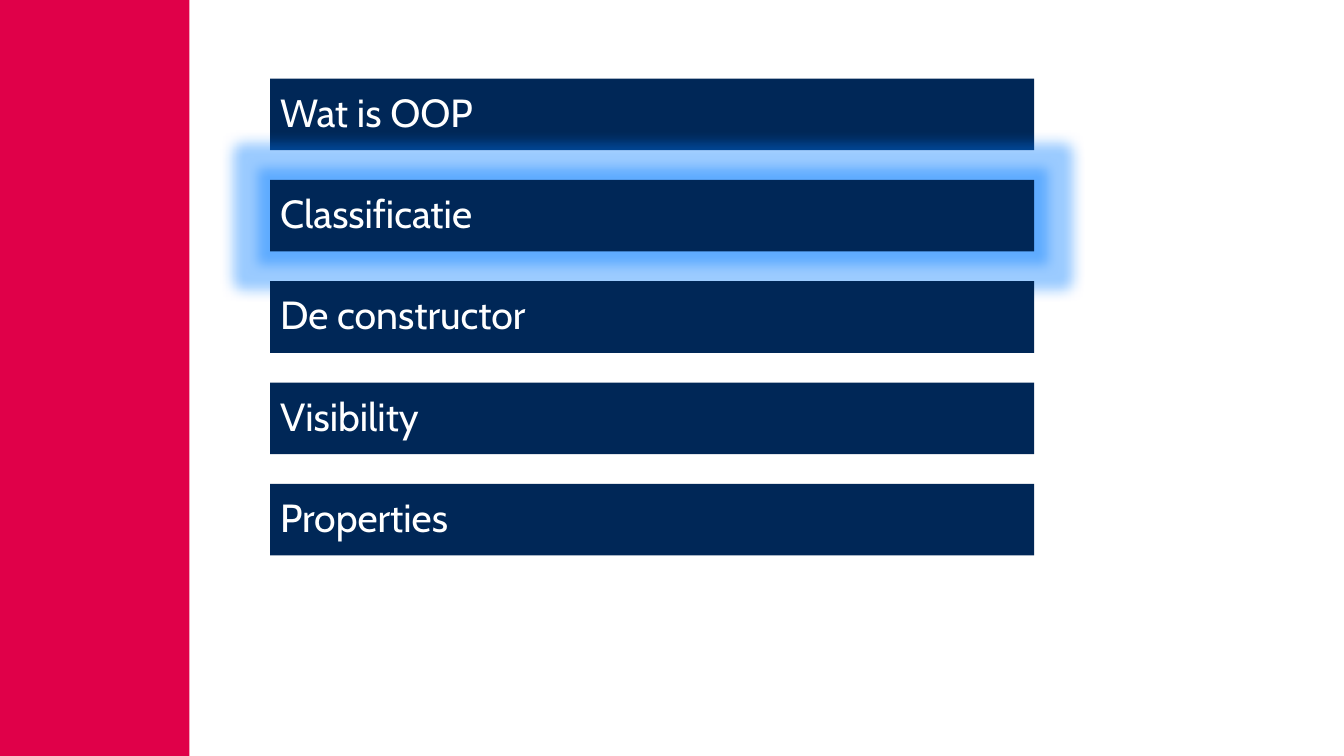
from lxml import etree
from pptx import Presentation
from pptx.dml.color import RGBColor
from pptx.enum.shapes import MSO_SHAPE
from pptx.enum.text import MSO_ANCHOR, PP_ALIGN
from pptx.oxml.ns import qn
from pptx.util import Inches, Pt

RECTANGLE = MSO_SHAPE.RECTANGLE
MIDDLE = MSO_ANCHOR.MIDDLE
LEFT = PP_ALIGN.LEFT

RED = RGBColor(0xE0, 0x00, 0x49)
NAVY = RGBColor(0x00, 0x27, 0x57)
WHITE = RGBColor(0xFF, 0xFF, 0xFF)
GLOW_BLUE = RGBColor(0x05, 0x7D, 0xFF)

COLUMNS, ROWS = 133.33, 75
TOPICS = ["Wat is OOP", "Classificatie", "De constructor", "Visibility", "Properties"]
CURRENT_TOPIC = "Classificatie"
TOPIC_LEFT, TOPIC_TOP = 26.8, 7.8
TOPIC_WIDTH, TOPIC_HEIGHT = 75.8, 7.1
TOPIC_PITCH = 10.05


class AgendaSlide:
    """Draws agenda elements on one slide, measured in grid columns and rows."""

    font_format = {"name": "Cabin", "size": Pt(28)}
    frame_format = {"vertical_anchor": MIDDLE, "word_wrap": False}
    paragraph_format = {"alignment": LEFT, "line_spacing": 0.9}

    def __init__(self, presentation):
        self.slide = presentation.slides.add_slide(presentation.slide_layouts[6])
        self.column = presentation.slide_width / COLUMNS
        self.row = presentation.slide_height / ROWS

    def apply(self, target, format_values):
        for name, value in format_values.items():
            setattr(target, name, value)

    def block(self, left, top, width, height, colour):
        shape = self.slide.shapes.add_shape(
            RECTANGLE,
            round(left * self.column),
            round(top * self.row),
            round(width * self.column),
            round(height * self.row),
        )
        shape.shadow.inherit = False
        shape.fill.solid()
        shape.fill.fore_color.rgb = colour
        shape.line.fill.background()
        return shape

    def topic(self, text, top):
        shape = self.block(TOPIC_LEFT, top, TOPIC_WIDTH, TOPIC_HEIGHT, NAVY)
        self.apply(shape.text_frame, self.frame_format)
        paragraph = shape.text_frame.paragraphs[0]
        self.apply(paragraph, self.paragraph_format)
        run = paragraph.add_run()
        run.text = text
        self.apply(run.font, self.font_format)
        run.font.color.rgb = WHITE
        return shape

    def glow(self, shape, radius, colour, opacity):
        effects = shape.element.spPr.find(qn("a:effectLst"))
        glow = etree.SubElement(effects, qn("a:glow"), rad=str(radius))
        tint = etree.SubElement(glow, qn("a:srgbClr"), val=str(colour))
        etree.SubElement(tint, qn("a:alpha"), val=str(opacity * 1000))


def main():
    presentation = Presentation()
    presentation.slide_width = Inches(13.33)
    presentation.slide_height = Inches(7.5)
    agenda = AgendaSlide(presentation)
    agenda.block(0, 0, 18.8, ROWS, RED)
    for index, topic in enumerate(TOPICS):
        shape = agenda.topic(topic, TOPIC_TOP + index * TOPIC_PITCH)
        if topic == CURRENT_TOPIC:
            agenda.glow(shape, Pt(18), GLOW_BLUE, 40)
    presentation.save("out.pptx")


if __name__ == "__main__":
    main()
